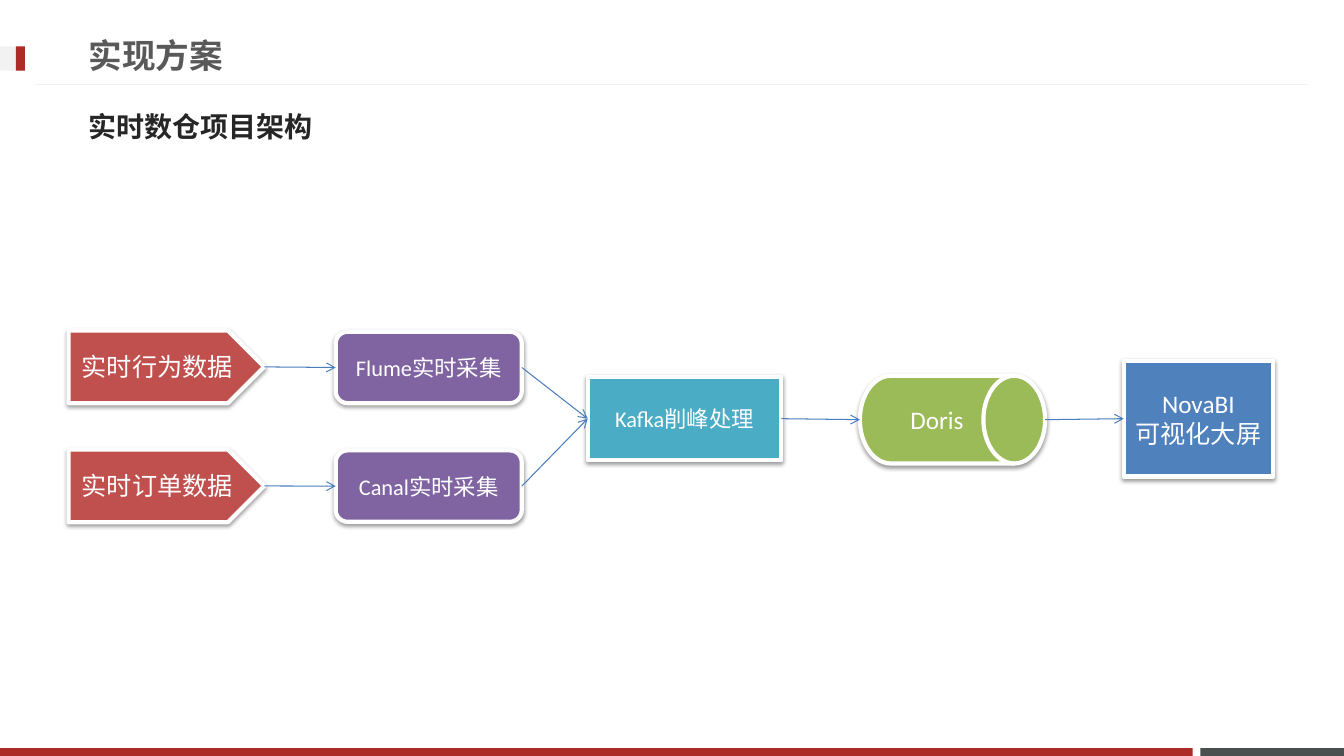
from lxml.etree import SubElement
from pptx import Presentation
from pptx.dml.color import RGBColor
from pptx.enum.shapes import MSO_CONNECTOR, MSO_SHAPE as Preset
from pptx.enum.text import MSO_ANCHOR as Anchor, PP_ALIGN as Align
from pptx.oxml import parse_xml
from pptx.oxml.ns import nsdecls, qn
from pptx.util import Cm, Pt


def color(value):
    return RGBColor.from_string(value)


def write(shape, lines, size, font, fill, bold, align):
    frame = shape.text_frame
    frame.word_wrap = True
    frame.vertical_anchor = Anchor.MIDDLE
    for index, line in enumerate(lines):
        paragraph = frame.add_paragraph() if index else frame.paragraphs[0]
        paragraph.alignment = align
        run = paragraph.add_run()
        run.text = line
        run.font.size = Pt(size)
        run.font.name = font
        run.font.bold = bold
        run.font.color.rgb = color(fill)


SHADOW = (
    f'<a:effectLst {nsdecls("a")}>'
    '<a:outerShdw blurRad="40000" dist="20000" dir="5400000" rotWithShape="0">'
    '<a:srgbClr val="000000"><a:alpha val="38000"/></a:srgbClr>'
    '</a:outerShdw></a:effectLst>'
)

presentation = Presentation()
presentation.slide_width = Cm(33.87)
presentation.slide_height = Cm(19.05)
slide = presentation.slides.add_slide(presentation.slide_layouts[5])
shapes = slide.shapes

# Page frame
for left, top, width, height, fill in [
    (30.25, 18.85, 3.62, 0.2, "49504F"),
    (0, 18.85, 30.06, 0.2, "AD2B26"),
    (0, 1.17, 0.63, 0.61, "F2F2F2"),
    (0.4, 1.17, 0.23, 0.61, "AD2B26"),
]:
    bar = shapes.add_shape(Preset.RECTANGLE, Cm(left), Cm(top), Cm(width), Cm(height))
    bar.shadow.inherit = False
    bar.fill.solid()
    bar.fill.fore_color.rgb = color(fill)
    bar.line.fill.background()

# Headings
title = shapes.title
title.left, title.top, title.width, title.height = Cm(1.98), Cm(0.66), Cm(24.36), Cm(1.45)
write(title, ["实现方案"], 24, "Roboto", "595959", True, Align.LEFT)
subtitle = shapes.add_textbox(Cm(1.98), Cm(2.46), Cm(12.83), Cm(1.45))
write(subtitle, ["实时数仓项目架构"], 20, "Roboto", "262626", True, Align.LEFT)

# Architecture nodes
nodes = {}
for name, preset, left, top, width, height, fill, size, lines in [
    ("behavior", Preset.PENTAGON, 1.73, 8.33, 4.93, 1.83, "C0504D", 18, ["实时行为数据"]),
    ("orders", Preset.PENTAGON, 1.73, 11.33, 4.93, 1.83, "C0504D", 18, ["实时订单数据"]),
    ("flume", Preset.FLOWCHART_ALTERNATE_PROCESS, 8.46, 8.36, 4.69, 1.8, "8064A2", 16, ["Flume实时采集"]),
    ("canal", Preset.FLOWCHART_ALTERNATE_PROCESS, 8.46, 11.35, 4.69, 1.8, "8064A2", 16, ["Canal实时采集"]),
    ("kafka", Preset.FLOWCHART_PROCESS, 14.81, 9.5, 4.88, 2.1, "4BACC6", 16, ["Kafka削峰处理"]),
    ("doris", Preset.FLOWCHART_DIRECT_ACCESS_STORAGE, 21.67, 9.47, 4.67, 2.21, "9BBB59", 18, ["Doris"]),
    ("screen", Preset.RECTANGLE, 28.32, 9.09, 3.76, 2.92, "4F81BD", 18, ["NovaBI", "可视化大屏"]),
]:
    node = shapes.add_shape(preset, Cm(left), Cm(top), Cm(width), Cm(height))
    node.fill.solid()
    node.fill.fore_color.rgb = color(fill)
    node.line.color.rgb = color("FFFFFF")
    node.line.width = Pt(3)
    node._element.spPr.append(parse_xml(SHADOW))
    write(node, lines, size, "Calibri", "FFFFFF", False, Align.CENTER)
    nodes[name] = node

# Header rule and flow arrows
rule = shapes.add_connector(MSO_CONNECTOR.STRAIGHT, Cm(32.97), Cm(2.13), Cm(0.89), Cm(2.13))
connectors = [(rule, "F2F2F2")]
for source, target in [
    ("behavior", "flume"),
    ("orders", "canal"),
    ("flume", "kafka"),
    ("canal", "kafka"),
    ("kafka", "doris"),
    ("doris", "screen"),
]:
    start, end = nodes[source], nodes[target]
    arrow = shapes.add_connector(
        MSO_CONNECTOR.STRAIGHT,
        start.left + start.width, start.top + start.height // 2,
        end.left, end.top + end.height // 2,
    )
    if source != "doris":
        arrow.begin_connect(start, 3)
    arrow.end_connect(end, 1)
    connectors.append((arrow, "4B7EBC"))

for connector, stroke in connectors:
    connector.line.color.rgb = color(stroke)
    connector.line.width = Pt(0.75)
    if connector is not rule:
        SubElement(connector.line._get_or_add_ln(), qn("a:tailEnd"), type="arrow")
    SubElement(connector._element.spPr, qn("a:effectLst"))

presentation.save("out.pptx")
